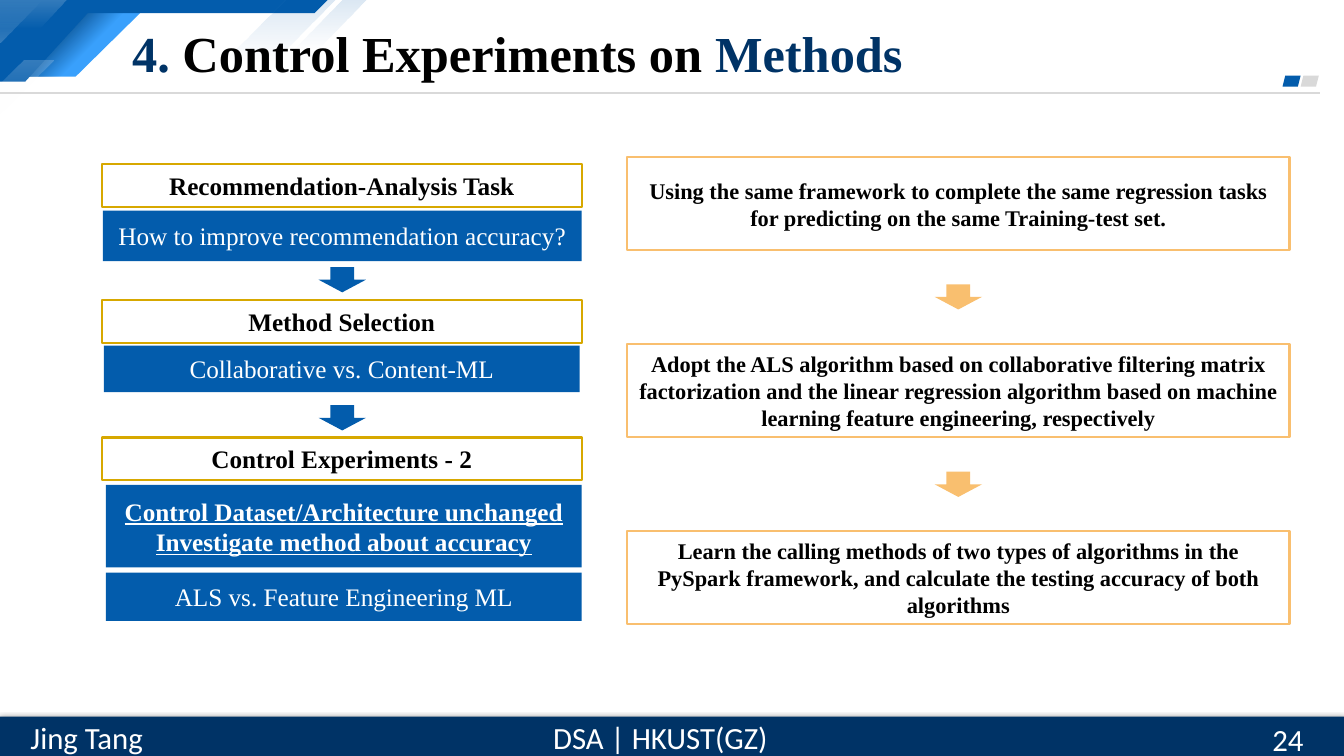
from lxml import etree
from pptx import Presentation
from pptx import util as u
from pptx.dml.color import RGBColor
from pptx.enum import shapes, text
from pptx.oxml.ns import qn

NAVY = RGBColor(0x00, 0x33, 0x66)
DEEP = RGBColor(0x02, 0x45, 0x81)
BLUE = RGBColor(0x03, 0x5C, 0xAC)
SKY = RGBColor(0x39, 0xA0, 0xFC)
GOLD = RGBColor(0xD7, 0xA8, 0x00)
ORANGE = RGBColor(0xF9, 0xBF, 0x6F)
GRAY = RGBColor(0xD9, 0xD9, 0xD9)
WHITE = RGBColor(0xFF, 0xFF, 0xFF)
BLACK = RGBColor(0x00, 0x00, 0x00)
SERIF, SANS = "Times New Roman", "Calibri"
KIND = shapes.MSO_SHAPE

TITLE = [("4. ", NAVY), ("Control Experiments on ", BLACK), ("Methods", NAVY)]
HEADINGS = [
    ("Recommendation-Analysis Task", 1.63),
    ("Method Selection", 2.98),
    ("Control Experiments - 2", 4.34),
]
DETAILS = [
    (["How to improve recommendation accuracy?"], (1.02, 2.09, 4.75, 0.5), {}),
    (["Collaborative vs. Content-ML"], (1.03, 3.43, 4.72, 0.46), {}),
    (["Control Dataset/Architecture unchanged", "Investigate method about accuracy"],
     (1.05, 4.81, 4.72, 0.82), {"bold": True, "underline": True}),
    (["ALS vs. Feature Engineering ML"], (1.05, 5.68, 4.72, 0.48), {}),
]
NOTES = [
    "Using the same framework to complete the same regression tasks for predicting "
    "on the same Training-test set.",
    "Adopt the ALS algorithm based on collaborative filtering matrix factorization and "
    "the linear regression algorithm based on machine learning feature engineering, "
    "respectively",
    "Learn the calling methods of two types of algorithms in the PySpark framework, and "
    "calculate the testing accuracy of both algorithms",
]
FOOTER = [
    ("DSA | HKUST(GZ)", (5.36, 7.08, 2.38, 0.47), text.PP_ALIGN.CENTER),
    ("Jing Tang", (0.16, 7.08, 1.4, 0.47), text.PP_ALIGN.CENTER),
    ("24", (12.52, 7.13, 0.81, 0.4), text.PP_ALIGN.LEFT),
]
ARROWS = [(3.16, 2.65, BLUE), (3.16, 4.02, BLUE), (9.27, 2.82, ORANGE), (9.27, 4.68, ORANGE)]

WHITE_FADE = ([(0, WHITE, 20), (100, WHITE, 0)], 90)
BLUE_FADE = ([(0, BLUE, 15), (100, BLUE, 0)], 90)
DEEP_FADE = ([(29, DEEP, 100), (57, DEEP, 0)], 45)
RIBBON = [(0.84, 0.07), (1.45, 0.07), (0.75, 0.76), (0.16, 0.76)]
BANDS = [
    (RIBBON, SKY),
    (RIBBON, DEEP_FADE),
    ([(0, 0), (3.25, 0), (3.12, 0.13), (0.87, 0.13), (0.25, 0.81), (0, 0.81)], BLUE),
    ([(0, 0), (0.66, 0), (0.39, 0.28), (0, 0.28)], WHITE_FADE),
    ([(2.84, 0), (3.33, 0), (2.72, 0.61), (2.22, 0.61)], BLUE_FADE),
    ([(3.4, 0), (3.64, 0), (3.15, 0.49), (2.91, 0.49)], BLUE_FADE),
    ([(0.23, 0.6), (0.53, 0.6), (-0.07, 1.2), (-0.37, 1.2)], WHITE_FADE),
]


def add_color(parent, color, alpha):
    node = etree.SubElement(parent, qn("a:srgbClr"), val=str(color))
    etree.SubElement(node, qn("a:alpha"), val=str(alpha * 1000))


def paint(shape, fill=None, line=None):
    shape.shadow.inherit = False
    if fill is None:
        shape.fill.background()
    elif isinstance(fill, RGBColor):
        shape.fill.solid()
        shape.fill.fore_color.rgb = fill
    else:
        stops, angle = fill
        shape.fill.gradient()
        gradient = shape._element.spPr.find(qn("a:gradFill"))
        for child in list(gradient):
            gradient.remove(child)
        stop_list = etree.SubElement(gradient, qn("a:gsLst"))
        for position, color, alpha in stops:
            stop = etree.SubElement(stop_list, qn("a:gs"), pos=str(position * 1000))
            add_color(stop, color, alpha)
        etree.SubElement(gradient, qn("a:lin"), ang=str(angle * 60000), scaled="0")
    if line is None:
        shape.line.fill.background()
    else:
        shape.line.color.rgb = line
        shape.line.width = u.Pt(1.5)


def add_block(slide, kind, box, fill=None, line=None):
    shape = slide.shapes.add_shape(kind, *map(u.Inches, box))
    paint(shape, fill, line)
    return shape


def style(font, color, **values):
    for name, value in values.items():
        setattr(font, name, value)
    font.color.rgb = color


def write(shape, lines, color, alignment=text.PP_ALIGN.CENTER, **values):
    frame = shape.text_frame
    frame.word_wrap = True
    frame.vertical_anchor = text.MSO_ANCHOR.MIDDLE
    for index, line in enumerate(lines):
        paragraph = frame.add_paragraph() if index else frame.paragraphs[0]
        paragraph.alignment = alignment
        run = paragraph.add_run()
        run.text = line
        style(run.font, color, **values)


def draw_frame(slide):
    for points, fill in BANDS:
        corners = [(u.Inches(x), u.Inches(y)) for x, y in points]
        builder = slide.shapes.build_freeform(*corners[0])
        builder.add_line_segments(corners[1:], close=True)
        paint(builder.convert_to_shape(), fill)
    corner = add_block(slide, KIND.RIGHT_TRIANGLE, (0, 0, 0.42, 0.42), WHITE_FADE)
    corner._element.spPr.find(qn("a:xfrm")).set("flipV", "1")

    rule = slide.shapes.add_connector(
        shapes.MSO_CONNECTOR.STRAIGHT, 0, u.Inches(0.92), u.Inches(13.09), u.Inches(0.92))
    rule.line.color.rgb = GRAY
    rule.line.width = u.Pt(1.5)
    etree.SubElement(rule._element.spPr, qn("a:effectLst"))

    for left, fill in [(12.9, GRAY), (12.72, BLUE)]:
        add_block(slide, KIND.PARALLELOGRAM, (left, 0.75, 0.18, 0.11), fill)

    bar = add_block(slide, KIND.RECTANGLE, (0, 7.11, 13.33, 0.4), NAVY)
    effects = bar._element.spPr.find(qn("a:effectLst"))
    shadow = etree.SubElement(effects, qn("a:outerShdw"), blurRad=str(u.Pt(4.5)),
                              dist=str(u.Pt(1.5)), dir="5400000", rotWithShape="0")
    add_color(shadow, BLACK, 63)
    for label, box, alignment in FOOTER:
        label_box = slide.shapes.add_textbox(*map(u.Inches, box))
        write(label_box, [label], WHITE, alignment, name=SANS, size=u.Pt(22))


def draw_title(slide):
    title = slide.shapes.title
    slide.shapes._spTree.append(title._element)
    box = dict(zip(("left", "top", "width", "height"), (1.21, 0.17, 10.21, 0.69)))
    for name, value in box.items():
        setattr(title, name, u.Inches(value))
    title.text_frame.vertical_anchor = text.MSO_ANCHOR.MIDDLE
    paragraph = title.text_frame.paragraphs[0]
    paragraph.alignment = text.PP_ALIGN.LEFT
    for words, color in TITLE:
        run = paragraph.add_run()
        run.text = words
        style(run.font, color, name=SERIF, size=u.Pt(36), bold=True)


def draw_steps(slide):
    for heading, top in HEADINGS:
        shape = add_block(slide, KIND.RECTANGLE, (1.01, top, 4.76, 0.42), WHITE, GOLD)
        write(shape, [heading], BLACK, name=SERIF, size=u.Pt(18), bold=True)
    for lines, box, extra in DETAILS:
        shape = add_block(slide, KIND.RECTANGLE, box, BLUE)
        write(shape, lines, WHITE, name=SERIF, size=u.Pt(18), **extra)
    first, last = 1.56, 5.27
    pitch = (last - first) / (len(NOTES) - 1)
    for index, note in enumerate(NOTES):
        box = (6.22, first + index * pitch, 6.57, 0.92)
        shape = add_block(slide, KIND.RECTANGLE, box, line=ORANGE)
        write(shape, [note], BLACK, name=SERIF, size=u.Pt(16), bold=True)
    for left, top, color in ARROWS:
        add_block(slide, KIND.DOWN_ARROW, (left, top, 0.47, 0.25), color)


def main():
    presentation = Presentation()
    presentation.slide_width = u.Inches(13.33)
    presentation.slide_height = u.Inches(7.5)
    slide = presentation.slides.add_slide(presentation.slide_layouts[5])
    draw_frame(slide)
    draw_title(slide)
    draw_steps(slide)
    presentation.save("out.pptx")


if __name__ == "__main__":
    main()
